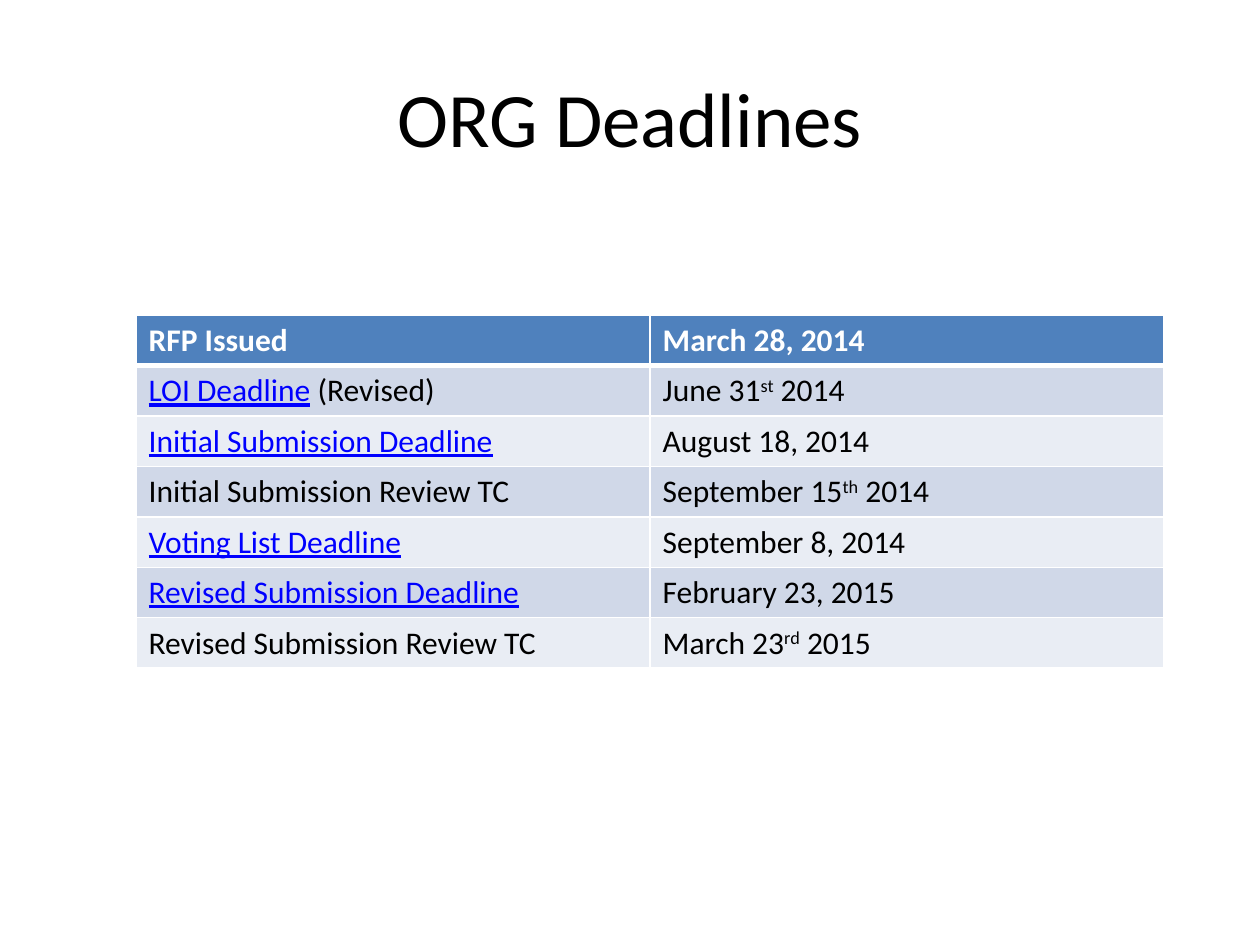
import pptx
import pptx.util
import pptx.oxml
from pptx.dml.color import RGBColor
from pptx.enum.text import MSO_ANCHOR, PP_ALIGN
from pptx.oxml.ns import qn
from pptx.util import Inches

BLACK = RGBColor(0x00, 0x00, 0x00)
WHITE = RGBColor(0xFF, 0xFF, 0xFF)
LINK = RGBColor(0x00, 0x00, 0xFF)
HEADER = RGBColor(0x4F, 0x81, 0xBD)
BANDS = (RGBColor(0xD0, 0xD8, 0xE8), RGBColor(0xE9, 0xED, 0xF4))

LINKED = {"color": LINK, "underline": True}
RAISED = {"raised": True}

# Each cell is a list of (text, format) runs
DEADLINES = [
    ([("RFP Issued", {})], [("March 28, 2014", {})]),
    ([("LOI Deadline", LINKED), (" (Revised)", {})],
     [("June 31", {}), ("st", RAISED), (" 2014", {})]),
    ([("Initial Submission Deadline", LINKED), (" ", {})],
     [("August 18, 2014", {})]),
    ([("Initial Submission Review TC", {})],
     [("September 15", {}), ("th", RAISED), (" 2014", {})]),
    ([("Voting List Deadline", LINKED), (" ", {})],
     [("September 8, 2014", {})]),
    ([("Revised Submission Deadline", LINKED)],
     [("February 23, 2015", {})]),
    ([("Revised Submission Review TC", {})],
     [("March 23", {}), ("rd", RAISED), (" 2015", {})]),
]


def add_run(p, text, *, font="Calibri", size=18, color=BLACK, bold=False,
            underline=False, raised=False):
    r = p.add_run()
    r.text = text
    r.font.name = font
    r.font.size = pptx.util.Pt(size)
    r.font.color.rgb = color
    r.font.bold = bold
    r.font.underline = underline
    if raised:
        r.font._element.set("baseline", "30000")


def set_borders(cell, color, **widths):
    """Draw cell edges; widths holds points for L, R, T and B."""
    tcPr = cell._tc.get_or_add_tcPr()
    for i, side in enumerate("LRTB"):
        ln = pptx.oxml.xmlchemy.OxmlElement(f"a:ln{side}")
        ln.set("w", str(pptx.util.Pt(widths.get(side, 1))))
        fill = ln.makeelement(qn("a:solidFill"), {})
        fill.append(ln.makeelement(qn("a:srgbClr"), {"val": str(color)}))
        ln.append(fill)
        tcPr.insert(i, ln)


class Deck:
    def __init__(self, font="Calibri"):
        self.font = font
        self.prs = pptx.Presentation()
        self.prs.slide_width = Inches(10)
        self.prs.slide_height = Inches(7.5)
        self.s = self.prs.slides.add_slide(self.prs.slide_layouts[6])

    def title(self, text, x, y, w, h):
        sp = self.s.shapes.add_textbox(Inches(x), Inches(y), Inches(w), Inches(h))
        tf = sp.text_frame
        tf.word_wrap = True
        tf.vertical_anchor = MSO_ANCHOR.MIDDLE
        p = tf.paragraphs[0]
        p.alignment = PP_ALIGN.CENTER
        add_run(p, text, font=self.font, size=44)

    def table(self, rows, x, y, col_w, row_h):
        n_rows, n_cols = len(rows), len(rows[0])
        table = self.s.shapes.add_table(
            n_rows, n_cols, Inches(x), Inches(y),
            Inches(col_w * n_cols), Inches(row_h * n_rows)).table
        for i, row in enumerate(rows):
            header = i == 0
            base = {"font": self.font, "bold": header,
                    "color": WHITE if header else BLACK}
            for j, runs in enumerate(row):
                cell = table.cell(i, j)
                cell.fill.solid()
                cell.fill.fore_color.rgb = HEADER if header else BANDS[(i - 1) % 2]
                # A thick rule separates the header from the body
                set_borders(cell, WHITE, T=3 if i == 1 else 1, B=3 if header else 1)
                for text, style in runs:
                    add_run(cell.text_frame.paragraphs[0], text, **{**base, **style})


def main():
    deck = Deck()
    # Title
    deck.title("ORG Deadlines", 0.5, 0.3, 9, 1.25)
    # Deadline table
    deck.table(DEADLINES, 1.08, 2.5, col_w=4.08, row_h=0.4)
    deck.prs.save("out.pptx")


if __name__ == "__main__":
    main()
